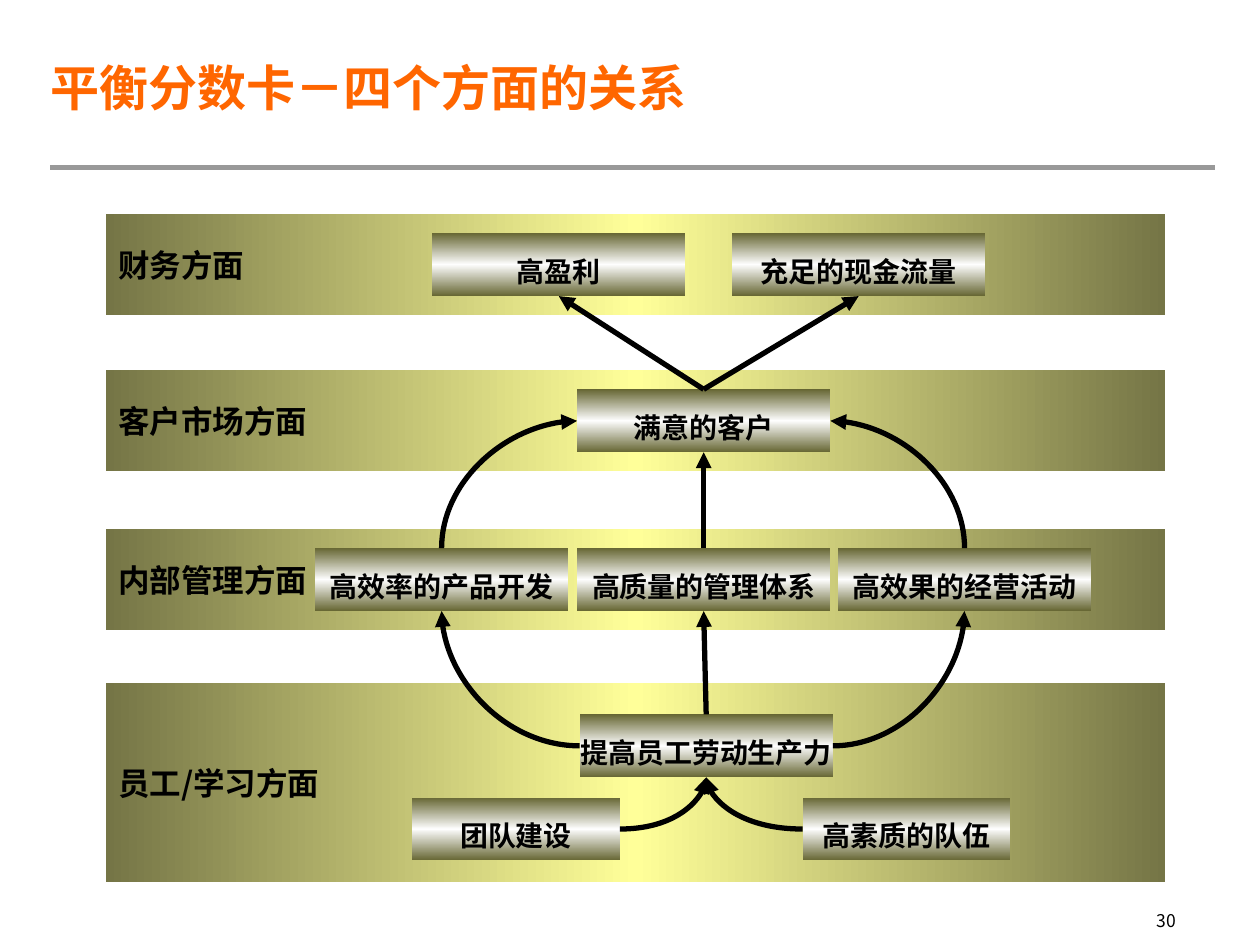
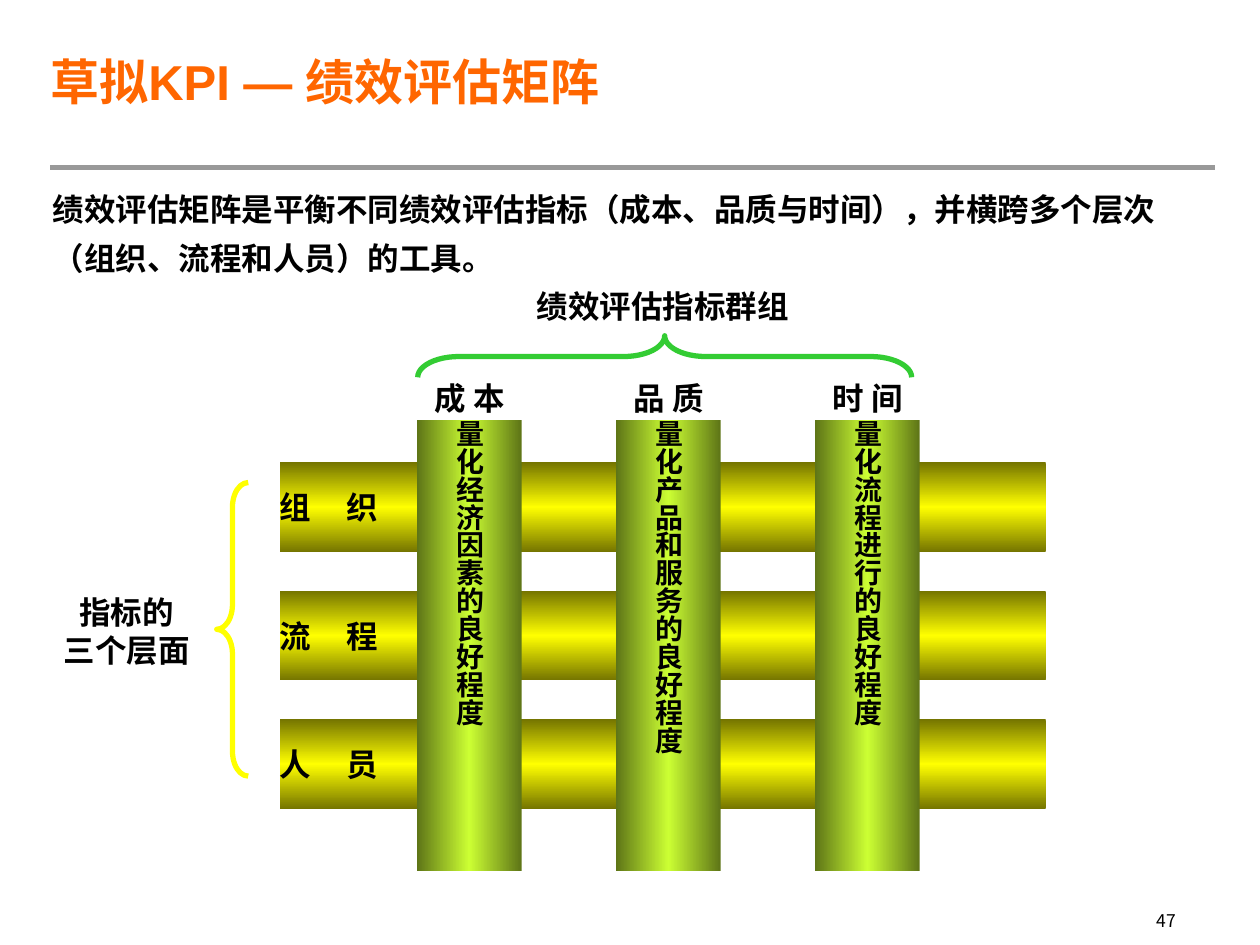
"""Build two slides: balanced scorecard links and the KPI evaluation matrix."""
from copy import deepcopy
from dataclasses import dataclass

from lxml.etree import SubElement
from pptx import Presentation
from pptx.dml.color import RGBColor
from pptx.enum.lang import MSO_LANGUAGE_ID
from pptx.enum.shapes import MSO_CONNECTOR, MSO_SHAPE
from pptx.enum.text import MSO_ANCHOR, MSO_AUTO_SIZE, PP_ALIGN
from pptx.oxml.ns import qn
from pptx.util import Inches, Pt

WIDTH, HEIGHT = Inches(10), Inches(7.5)
COLUMN, ROW = WIDTH // 100, HEIGHT // 75

ORANGE = RGBColor(0xFF, 0x66, 0x00)
GREY = RGBColor(0x99, 0x99, 0x99)
BLACK = RGBColor(0x00, 0x00, 0x00)
OLIVE = RGBColor(0x75, 0x75, 0x46)
CREAM = RGBColor(0xFF, 0xFF, 0x99)
MOSS = RGBColor(0x66, 0x66, 0x33)
SILVER = RGBColor(0xFE, 0xFE, 0xFE)
MUSTARD = RGBColor(0x75, 0x75, 0x00)
YELLOW = RGBColor(0xFF, 0xFF, 0x00)
FOREST = RGBColor(0x5E, 0x75, 0x17)
LIME = RGBColor(0xCC, 0xFF, 0x33)
GREEN = RGBColor(0x33, 0xCC, 0x33)

SANS, LATIN = "Noto Sans CJK SC", "Arial"
TITLE_FONT = dict(size=Pt(28), bold=True, name=LATIN)
BODY_FONT = dict(size=Pt(18), bold=True, name=LATIN)
LABEL_FONT = dict(size=Pt(18), bold=True, name=SANS)
BOX_FONT = dict(size=Pt(16), bold=True, name=SANS)
PAGE_FONT = dict(size=Pt(10), bold=False, name=SANS)

TOP, LEFT, BOTTOM, RIGHT = range(4)
FLUSH = dict(margin_left=0, margin_right=0, margin_top=0, margin_bottom=0)
MIDDLE = dict(vertical_anchor=MSO_ANCHOR.MIDDLE, word_wrap=False)
LABEL_HEIGHT = 4.4


@dataclass(frozen=True)
class Area:
    """A rectangle in grid columns and rows."""
    left: float
    top: float
    width: float
    height: float

    def lengths(self) -> tuple[int, int, int, int]:
        """Return left, top, width and height as slide lengths."""
        return (round(self.left * COLUMN), round(self.top * ROW),
                round(self.width * COLUMN), round(self.height * ROW))


@dataclass(frozen=True)
class Band:
    """A scorecard perspective."""
    label: str
    top: float
    height: float = 8


@dataclass(frozen=True)
class Goal:
    """A goal box inside a perspective."""
    text: str
    left: float
    top: float
    width: float = 20.1


@dataclass(frozen=True)
class Link:
    """A joined line between the sides of two goals."""
    start: str
    start_side: int
    end: str
    end_side: int
    curved: bool = False
    arrow: str = "a:tailEnd"


@dataclass(frozen=True)
class Measure:
    """A group of indicators shown as an upright bar."""
    heading: str
    question: str


BANDS = [Band("财务方面", 17), Band("客户市场方面", 29.4),
         Band("内部管理方面", 42), Band("员工/学习方面", 54.2, 15.8)]
GOALS = [
    Goal("团队建设", 32.7, 63.3, 16.5),
    Goal("高素质的队伍", 63.7, 63.3, 16.5),
    Goal("高效率的产品开发", 25, 43.5),
    Goal("高质量的管理体系", 45.8, 43.5),
    Goal("高效果的经营活动", 66.5, 43.5),
    Goal("满意的客户", 45.8, 30.9),
    Goal("高盈利", 34.3, 18.5),
    Goal("充足的现金流量", 58.1, 18.5),
    Goal("提高员工劳动生产力", 46, 56.7),
]
LINKS = [
    Link("团队建设", RIGHT, "提高员工劳动生产力", BOTTOM, True),
    Link("高素质的队伍", LEFT, "提高员工劳动生产力", BOTTOM, True),
    Link("提高员工劳动生产力", LEFT, "高效率的产品开发", BOTTOM, True),
    Link("提高员工劳动生产力", RIGHT, "高效果的经营活动", BOTTOM, True),
    Link("满意的客户", LEFT, "高效率的产品开发", TOP, True, "a:headEnd"),
    Link("满意的客户", RIGHT, "高效果的经营活动", TOP, True, "a:headEnd"),
    Link("提高员工劳动生产力", TOP, "高质量的管理体系", BOTTOM),
    Link("高质量的管理体系", TOP, "满意的客户", BOTTOM),
    Link("满意的客户", TOP, "高盈利", BOTTOM),
    Link("满意的客户", TOP, "充足的现金流量", BOTTOM),
]
LEVELS = ["组\t织", "流\t程", "人\t员"]
MEASURES = [Measure("成 本", "量化经济因素的良好程度"),
            Measure("品 质", "量化产品和服务的良好程度"),
            Measure("时 间", "量化流程进行的良好程度")]


def apply(target, values: dict) -> None:
    """Set every named attribute on the target."""
    for name, value in values.items():
        setattr(target, name, value)


def write(shape, text: str, font: dict, colour=BLACK, align=PP_ALIGN.LEFT,
          spacing: float = 1.0, **frame_format) -> None:
    """Fill a shape with formatted text."""
    frame = shape.text_frame
    frame.text = text
    apply(frame, dict(auto_size=MSO_AUTO_SIZE.NONE) | frame_format)
    for paragraph in frame.paragraphs:
        apply(paragraph, dict(alignment=align, line_spacing=spacing, space_before=Pt(0)))
        for run in paragraph.runs:
            apply(run.font, font | dict(language_id=MSO_LANGUAGE_ID.SIMPLIFIED_CHINESE))
            run.font.color.rgb = colour
            latin = run.font._element.find(qn("a:latin"))
            east_asian = deepcopy(latin)
            east_asian.tag = qn("a:ea")
            latin.addnext(east_asian)


def add_label(slide, area: Area, text: str, font: dict, **text_format) -> None:
    """Add a text box."""
    write(slide.shapes.add_textbox(*area.lengths()), text, font,
          **(dict(word_wrap=False) | text_format))


def add_bar(slide, area: Area, edge: RGBColor, glow: RGBColor, angle: int):
    """Add a rectangle that glows along its middle."""
    bar = slide.shapes.add_shape(MSO_SHAPE.RECTANGLE, *area.lengths())
    bar.shadow.inherit = False
    bar.line.fill.background()
    bar.fill.gradient()
    bar.fill.gradient_angle = angle
    stop_list = bar.element.spPr.find(qn("a:gradFill")).find(qn("a:gsLst"))
    stop_list.append(deepcopy(stop_list[0]))
    for stop, position, colour in zip(bar.fill.gradient_stops, (0, 0.5, 1), (edge, glow, edge)):
        stop.position = position
        stop.color.rgb = colour
    return bar


def style_line(connector, colour: RGBColor, width: float) -> None:
    """Give a connector its colour and width and no shadow."""
    connector.line.color.rgb = colour
    connector.line.width = Pt(width)
    SubElement(connector.element.spPr, qn("a:effectLst"))


def add_link(slide, link: Link, boxes: dict) -> None:
    """Join two goal boxes with an arrow."""
    kind = MSO_CONNECTOR.CURVE if link.curved else MSO_CONNECTOR.STRAIGHT
    connector = slide.shapes.add_connector(kind, 0, 0, 0, 0)
    connector.begin_connect(boxes[link.start], link.start_side)
    connector.end_connect(boxes[link.end], link.end_side)
    style_line(connector, BLACK, 3)
    properties = connector.element.spPr
    if link.curved:
        properties.find(qn("a:prstGeom")).set("prst", "curvedConnector2")
    SubElement(properties.find(qn("a:ln")), qn(link.arrow)).set("type", "triangle")


def add_brace(slide, area: Area, colour: RGBColor, bend: float, rotation: int = 0) -> None:
    """Add an open brace."""
    brace = slide.shapes.add_shape(MSO_SHAPE.LEFT_BRACE, *area.lengths())
    brace.shadow.inherit = False
    brace.fill.background()
    brace.line.color.rgb = colour
    brace.line.width = Pt(3)
    brace.adjustments[0] = bend
    brace.rotation = rotation


def place(placeholder, area: Area) -> None:
    """Move a placeholder to an area."""
    apply(placeholder, dict(zip(("left", "top", "width", "height"), area.lengths())))


def add_page(deck, layout: int, title: str, number: str, title_height: float):
    """Add a slide with its title, rule and page number."""
    slide = deck.slides.add_slide(deck.slide_layouts[layout])
    place(slide.shapes.title, Area(4, 1.9, 92.5, title_height))
    write(slide.shapes.title, title, TITLE_FONT, ORANGE,
          vertical_anchor=MSO_ANCHOR.MIDDLE, **FLUSH)
    start, height, length, _ = Area(4, 13.3, 92.4, 0).lengths()
    rule = slide.shapes.add_connector(MSO_CONNECTOR.STRAIGHT, start, height,
                                      start + length, height)
    style_line(rule, GREY, 2.5)
    add_label(slide, Area(90.8, 71.7, 8.6, 3), number, PAGE_FONT)
    return slide


def build_scorecard(deck) -> None:
    """Show how the four perspectives support each other."""
    slide = add_page(deck, 5, "平衡分数卡－四个方面的关系", "30", 10)
    for band in BANDS:
        add_bar(slide, Area(8.4, band.top, 84.1, band.height), OLIVE, CREAM, 0)
    boxes = {}
    for goal in GOALS:
        box = add_bar(slide, Area(goal.left, goal.top, goal.width, 5), MOSS, SILVER, 90)
        write(box, goal.text, BOX_FONT, align=PP_ALIGN.CENTER, spacing=1.4, **MIDDLE)
        boxes[goal.text] = box
    for band in BANDS:
        label_top = band.top + (band.height - LABEL_HEIGHT) / 2
        add_label(slide, Area(8.4, label_top, 18.2, LABEL_HEIGHT), band.label,
                  LABEL_FONT, **MIDDLE)
    for link in LINKS:
        add_link(slide, link, boxes)


def build_matrix(deck) -> None:
    """Cross three levels with three groups of indicators."""
    slide = add_page(deck, 1, "草拟KPI — 绩效评估矩阵", "47", 9.1)
    summary = slide.placeholders[1]
    place(summary, Area(4.2, 14.2, 91.7, 8.3))
    write(summary, "绩效评估矩阵是平衡不同绩效评估指标（成本、品质与时间），"
          "并横跨多个层次（组织、流程和人员）的工具。",
          BODY_FONT, spacing=1.3, word_wrap=True, **FLUSH)
    paragraph_format = summary.text_frame.paragraphs[0]._p.get_or_add_pPr()
    paragraph_format.set("marL", "0")
    paragraph_format.set("indent", "0")
    SubElement(paragraph_format, qn("a:buNone"))

    for index, level in enumerate(LEVELS):
        bar = add_bar(slide, Area(22.2, 36.7 + 10.2 * index, 60.8, 7.1), MUSTARD, YELLOW, 90)
        write(bar, level, LABEL_FONT, vertical_anchor=MSO_ANCHOR.MIDDLE,
              word_wrap=True, **FLUSH)
        tabs = SubElement(bar.text_frame.paragraphs[0]._p.get_or_add_pPr(), qn("a:tabLst"))
        apply_stop = SubElement(tabs, qn("a:tab"))
        apply_stop.set("pos", str(round(5.3 * COLUMN)))
        apply_stop.set("algn", "l")
    for index, measure in enumerate(MEASURES):
        left = 33.1 + 15.8 * index
        add_label(slide, Area(left + 1.4, 30.1, 5.6, 3), measure.heading, LABEL_FONT, **FLUSH)
        bar = add_bar(slide, Area(left, 33.3, 8.3, 35.8), FOREST, LIME, 0)
        write(bar, measure.question, BOX_FONT, align=PP_ALIGN.CENTER, **MIDDLE, **FLUSH)
        bar.text_frame._txBody.bodyPr.set("vert", "eaVert")

    add_label(slide, Area(4.2, 47.1, 11.7, 5.6), "指标的\n三个层面", LABEL_FONT,
              align=PP_ALIGN.CENTER, word_wrap=True, **FLUSH)
    add_label(slide, Area(42.6, 22.8, 20, 3), "绩效评估指标群组", LABEL_FONT, **FLUSH)
    add_brace(slide, Area(17.2, 38.3, 2.5, 23.3), YELLOW, 0.78)
    add_brace(slide, Area(51.1, 8.7, 3.3, 39.2), GREEN, 0.99, 90)


def main() -> None:
    """Build and save the deck."""
    deck = Presentation()
    apply(deck, dict(slide_width=WIDTH, slide_height=HEIGHT))
    build_scorecard(deck)
    build_matrix(deck)
    deck.save("out.pptx")


if __name__ == "__main__":
    main()
